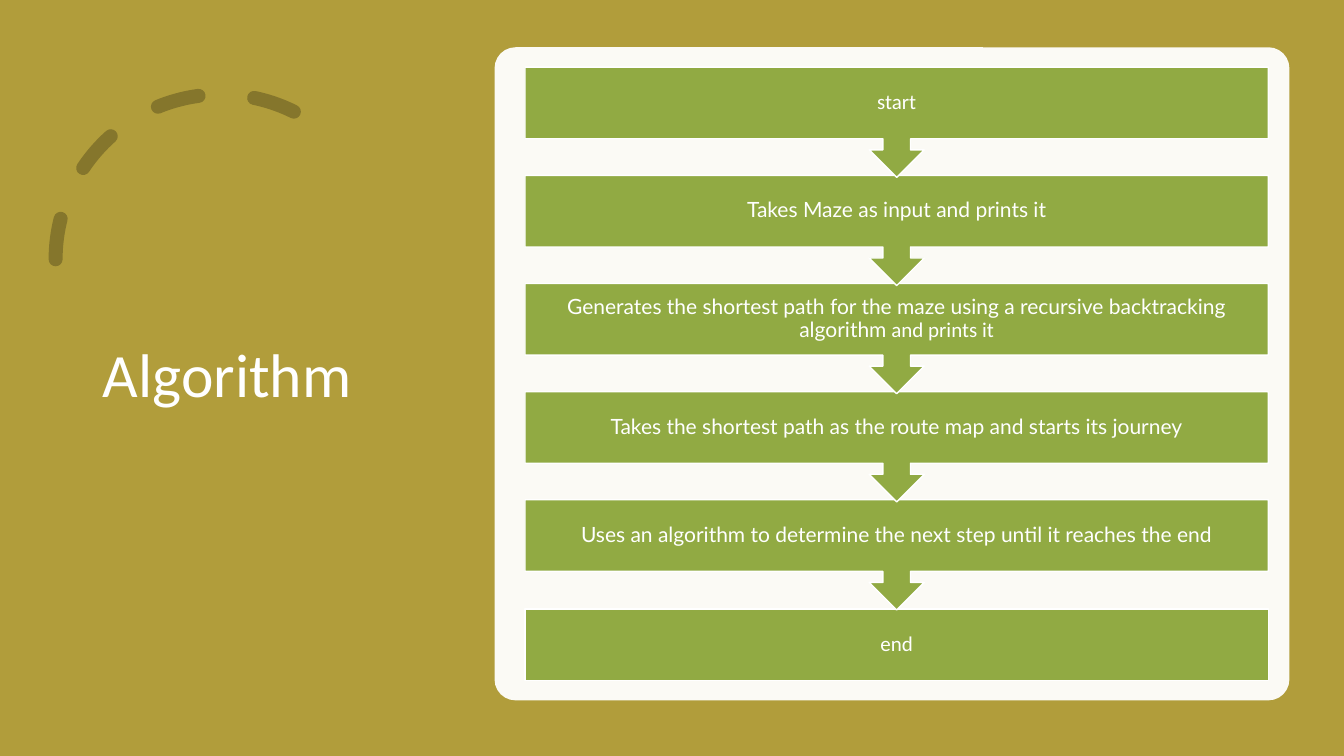
from pptx import Presentation
from pptx.dml.color import RGBColor
from pptx.enum.dml import MSO_LINE
from pptx.enum.shapes import MSO_SHAPE
from pptx.enum.text import MSO_ANCHOR, PP_ALIGN
from pptx.oxml import parse_xml
from pptx.oxml.ns import nsdecls
from pptx.util import Pt

PX = 9525
WIDE, HIGH = 1280, 720
GOLD = RGBColor(0xB1, 0x9D, 0x3B)
BROWN = RGBColor(0x85, 0x76, 0x2C)
GREEN = RGBColor(0x91, 0xAA, 0x43)
WHITE = RGBColor(0xFF, 0xFF, 0xFF)
BODY, HEAD = "Lato", "Calibri"

STEPS = [
    [("start", HEAD)],
    [("Takes Maze as input and prints it", BODY)],
    [("Generates the shortest path for the maze using a recursive "
      "backtracking algorithm", BODY), (" and prints it", HEAD)],
    [("Takes the shortest path as the route map and starts its journey", BODY)],
    [("Uses an algorithm to determine the next step until it reaches the end",
      BODY)],
    [("end", HEAD)],
]


class Canvas:
    def __init__(self, slide):
        self.slide = slide

    def shape(self, kind, box, fill=None, line=None, width=1):
        item = self.slide.shapes.add_shape(kind, *[v * PX for v in box])
        item.shadow.inherit = False
        if fill is None:
            item.fill.background()
        else:
            item.fill.solid()
            item.fill.fore_color.rgb = fill
        if line is None:
            item.line.fill.background()
        else:
            item.line.color.rgb = line
            item.line.width = Pt(width)
        return item

    def label(self, item, runs, size, align, inset):
        frame = item.text_frame
        frame.word_wrap = True
        frame.vertical_anchor = MSO_ANCHOR.MIDDLE
        frame.margin_left = frame.margin_right = inset * PX
        frame.margin_top = frame.margin_bottom = inset * PX
        para = frame.paragraphs[0]
        para.alignment = align
        para.line_spacing = 0.9
        for text, font in runs:
            run = para.add_run()
            run.text = text
            run.font.name = font
            run.font.size = Pt(size)
            run.font.color.rgb = WHITE

    def title(self, text, box):
        item = self.slide.shapes.add_textbox(*[v * PX for v in box])
        self.label(item, [(text, HEAD)], 44, PP_ALIGN.LEFT, 10)

    def arc(self, box):
        item = self.shape(MSO_SHAPE.ARC, box, line=BROWN, width=10)
        item.adjustments[0] = 146.129
        item.adjustments[1] = 0
        item.line.dash_style = MSO_LINE.DASH
        outline = item._element.spPr.find("{*}ln")
        outline.set("cap", "rnd")
        item._element.spPr.xfrm.set("flipH", "1")

    def panel(self, box):
        item = self.shape(MSO_SHAPE.ROUNDED_RECTANGLE, box, WHITE)
        item.adjustments[0] = 0.032
        color = item._element.spPr.find(".//{*}srgbClr")
        color.append(parse_xml(f'<a:alpha {nsdecls("a")} val="95000"/>'))

    def step(self, kind, runs, box):
        item = self.shape(kind, box, GREEN, WHITE)
        self.label(item, runs, 15, PP_ALIGN.CENTER, 11)


def main():
    deck = Presentation()
    deck.slide_width, deck.slide_height = WIDE * PX, HIGH * PX
    slide = deck.slides.add_slide(deck.slide_layouts[6])
    slide.background.fill.solid()
    slide.background.fill.fore_color.rgb = GOLD
    art = Canvas(slide)

    # Title side
    art.arc((53, 90, 314, 314))
    art.title("Algorithm", (88, 67, 310, 585))

    # Flow panel, drawn from the last step up so arrows overlap the next box
    art.panel((471, 45, 757, 622))
    last = len(STEPS) - 1
    for row in range(last, -1, -1):
        top = 64 + row * 516 // last
        if row == last:
            kind, high = MSO_SHAPE.RECTANGLE, 68
        else:
            kind, high = MSO_SHAPE.DOWN_ARROW_CALLOUT, 105
        art.step(kind, STEPS[row], (500, top, 708, high))

    deck.save("out.pptx")


if __name__ == "__main__":
    main()
